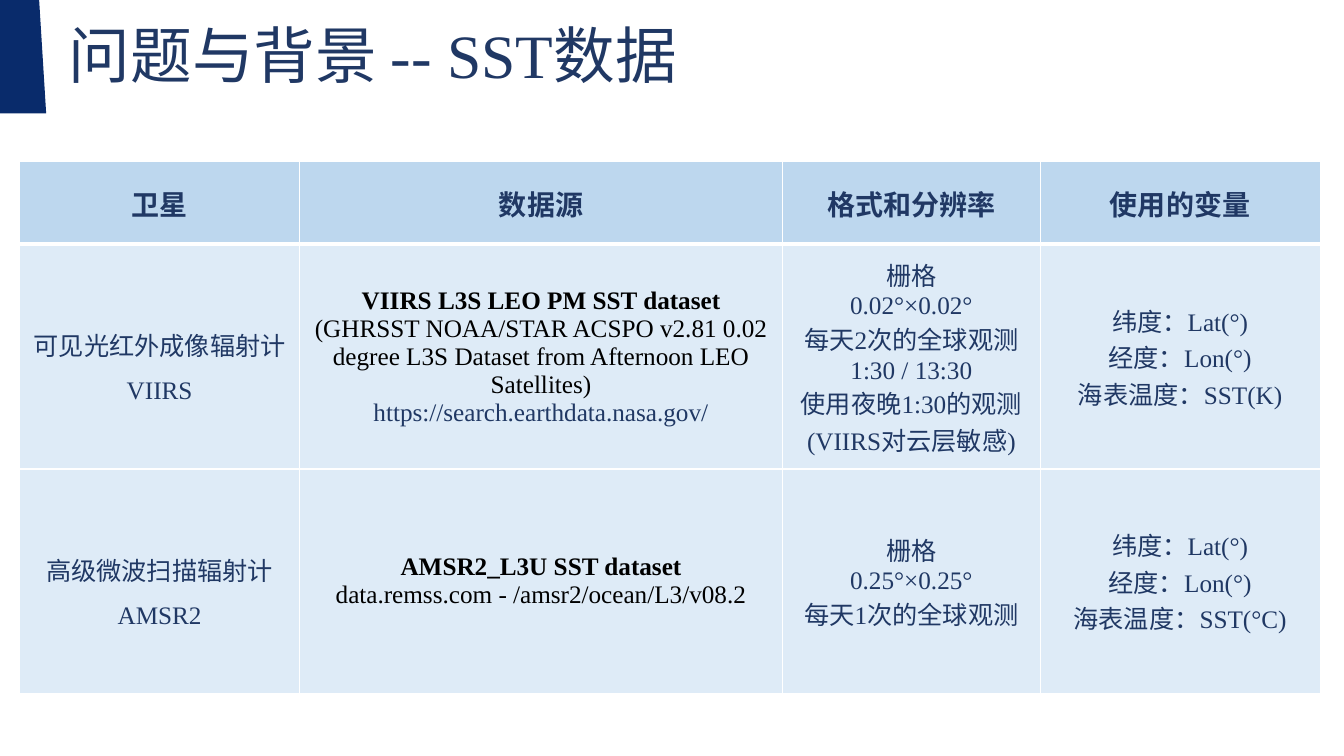
from pptx import Presentation
from pptx.dml.color import RGBColor
from pptx.enum.text import MSO_ANCHOR, MSO_AUTO_SIZE, PP_ALIGN
from pptx.oxml import parse_xml
from pptx.oxml.ns import nsdecls
from pptx.util import Pt

THEME = {
    "navy": "203864", "mark": "092B6B", "black": "000000", "white": "FFFFFF",
    "head": "BDD7EE", "body": "DEEBF7",
    "title_size": 44, "head_size": 20, "body_size": 18,
    "serif": "Times New Roman", "sans": "Noto Sans CJK SC",
}


def write(p, text, size=THEME["body_size"], color="navy", font="serif",
          bold=False, align=PP_ALIGN.CENTER, spacing=1.0):
    p.alignment = align
    p.line_spacing = spacing
    r = p.add_run()
    r.text = text
    r.font.size = Pt(size)
    r.font.bold = bold
    r.font.color.rgb = RGBColor.from_string(THEME[color])
    r.font.name = THEME[font]
    r.font._element.append(parse_xml(f'<a:ea {nsdecls("a")} typeface="{THEME["sans"]}"/>'))


def set_border(cell, side, width):
    cell._tc.get_or_add_tcPr().append(parse_xml(
        f'<a:ln{side} {nsdecls("a")} w="{Pt(width)}"><a:solidFill>'
        f'<a:srgbClr val="{THEME["white"]}"/></a:solidFill></a:ln{side}>'))


prs = Presentation()
prs.slide_width, prs.slide_height = Pt(960), Pt(540)
s = prs.slides.add_slide(prs.slide_layouts[5])

builder = s.shapes.build_freeform(0, 0, scale=Pt(1))
builder.add_line_segments([(28, 0), (33, 81), (0, 81)], close=True)
mark = builder.convert_to_shape()
mark.shadow.inherit = False
mark.fill.solid()
mark.fill.fore_color.rgb = RGBColor.from_string(THEME["mark"])
mark.line.fill.background()

title = s.shapes.title
title.left, title.top, title.width, title.height = Pt(42), Pt(10), Pt(700), Pt(63)
tf = title.text_frame
tf.auto_size = MSO_AUTO_SIZE.NONE
tf.vertical_anchor = MSO_ANCHOR.MIDDLE
write(tf.paragraphs[0], "问题与背景 -- SST数据", size=THEME["title_size"],
      align=PP_ALIGN.LEFT, spacing=0.9)

rows = [
    [["卫星"], ["数据源"], ["格式和分辨率"], ["使用的变量"]],
    [["可见光红外成像辐射计", "VIIRS"],
     ["VIIRS L3S LEO PM SST dataset",
      "(GHRSST NOAA/STAR ACSPO v2.81 0.02 degree L3S Dataset from Afternoon LEO Satellites)",
      "https://search.earthdata.nasa.gov/"],
     ["栅格", "0.02°×0.02°", "每天2次的全球观测", "1:30 / 13:30",
      "使用夜晚1:30的观测", "(VIIRS对云层敏感)"],
     ["纬度：Lat(°)", "经度：Lon(°)", "海表温度：SST(K)"]],
    [["高级微波扫描辐射计AMSR2"],
     ["AMSR2_L3U SST dataset", "data.remss.com - /amsr2/ocean/L3/v08.2"],
     ["栅格", "0.25°×0.25°", "每天1次的全球观测"],
     ["纬度：Lat(°)", "经度：Lon(°)", "海表温度：SST(°C)"]],
]
widths = [200, 345, 184, 200]
heights = [59, 160.5, 160.5]

table = s.shapes.add_table(len(rows), len(widths), Pt(14), Pt(115.5),
                           Pt(sum(widths)), Pt(sum(heights))).table
for column, width in zip(table.columns, widths):
    column.width = Pt(width)
for i, (row, height) in enumerate(zip(rows, heights)):
    table.rows[i].height = Pt(height)
    for j, lines in enumerate(row):
        cell = table.cell(i, j)
        cell.vertical_anchor = MSO_ANCHOR.MIDDLE
        for side in "LRTB":
            thick = (i, side) in [(0, "B"), (1, "T")]
            set_border(cell, side, 3 if thick else 1)
        cell.fill.solid()
        cell.fill.fore_color.rgb = RGBColor.from_string(THEME["body" if i else "head"])
        tf = cell.text_frame
        for k, line in enumerate(lines):
            p = tf.add_paragraph() if k else tf.paragraphs[0]
            if i == 0:
                write(p, line, size=THEME["head_size"], font="sans", bold=True)
            elif j == 0:
                write(p, line, spacing=1.5)
            elif j == 1:
                write(p, line, color="black" if k < 2 else "navy", bold=k == 0)
            else:
                write(p, line)

prs.save("out.pptx")
